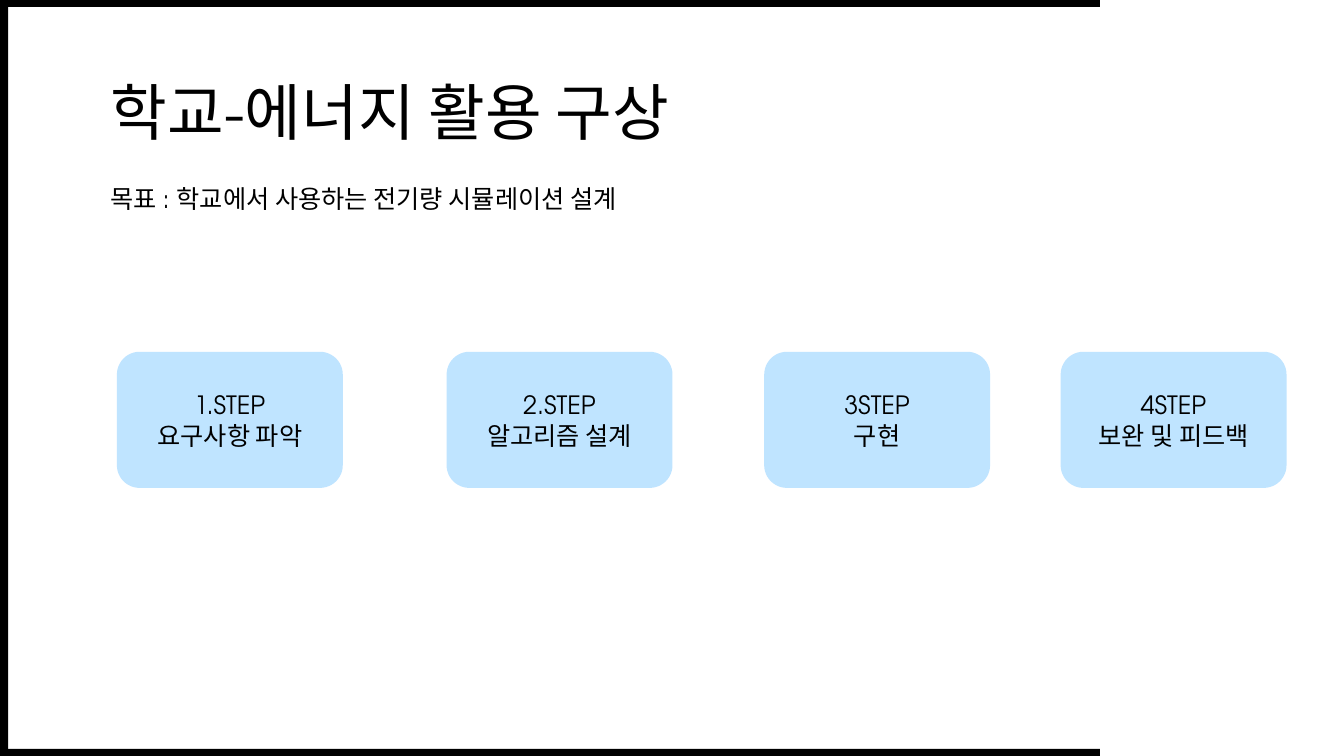
from pptx import Presentation
from pptx.dml.color import RGBColor
from pptx.enum.shapes import MSO_SHAPE
from pptx.enum.text import MSO_ANCHOR, PP_ALIGN
from pptx.util import Inches, Pt

WIDE, HIGH = 13.33, 7.5
FONT = "TeX Gyre Adventor"
BLACK, SKY = "000000", "BFE4FF"
STEPS = [
    (1.16, "1.STEP\n요구사항 파악"),
    (4.43, "2.STEP\n알고리즘 설계"),
    (7.58, "3STEP\n구현"),
    (10.52, "4STEP\n보완 및 피드백"),
]


def paint(target, color):
    """Set a fill or font colour from a hex string."""
    target.rgb = RGBColor.from_string(color)


def write(frame, text, size, align=PP_ALIGN.LEFT):
    """Fill a text frame and format its runs."""
    frame.word_wrap = True
    frame.text = text
    for para in frame.paragraphs:
        para.alignment = align
        for run in para.runs:
            run.font.name = FONT
            run.font.size = Pt(size)
            paint(run.font.color, BLACK)


def add_block(slide, kind, box, color):
    """Add a plain filled shape in the given box."""
    block = slide.shapes.add_shape(kind, *map(Inches, box))
    block.shadow.inherit = False
    block.fill.solid()
    paint(block.fill.fore_color, color)
    block.line.fill.background()
    return block


def add_frame(slide, box):
    """Draw the bottom, top and left bars along the edges of the box."""
    left, top, width, height = box
    thick = 0.07
    bars = [
        (left, top + height - thick, width, thick),
        (left, top, width, thick),
        (left, top, 0.08, height),
    ]
    for bar in bars:
        add_block(slide, MSO_SHAPE.RECTANGLE, bar, BLACK)


def add_head(slide, box):
    """Place the title and the goal line at the top and bottom of the box."""
    left, top, width, height = box
    goal = 0.4
    lines = [
        (top, width, 0.84, "학교-에너지 활용 구상", 44),
        (top + height - goal, 5.84, goal, "목표 : 학교에서 사용하는 전기량 시뮬레이션 설계", 18),
    ]
    for y, wide, high, text, size in lines:
        area = slide.shapes.add_textbox(*map(Inches, (left, y, wide, high)))
        write(area.text_frame, text, size)


def add_step(slide, box, text):
    """Add one rounded step card with centred text."""
    card = add_block(slide, MSO_SHAPE.ROUNDED_RECTANGLE, box, SKY)
    card.text_frame.vertical_anchor = MSO_ANCHOR.MIDDLE
    write(card.text_frame, text, 18, PP_ALIGN.CENTER)


def main():
    """Build the slide and save it."""
    deck = Presentation()
    deck.slide_width, deck.slide_height = Inches(WIDE), Inches(HIGH)
    slide = deck.slides.add_slide(deck.slide_layouts[6])
    add_frame(slide, (0, 0, 10.91, HIGH))
    add_head(slide, (1, 0.68, WIDE * 0.55, 1.49))
    for left, text in STEPS:
        add_step(slide, (left, 3.49, 2.24, HIGH * 0.18), text)
    deck.save("out.pptx")


if __name__ == "__main__":
    main()
